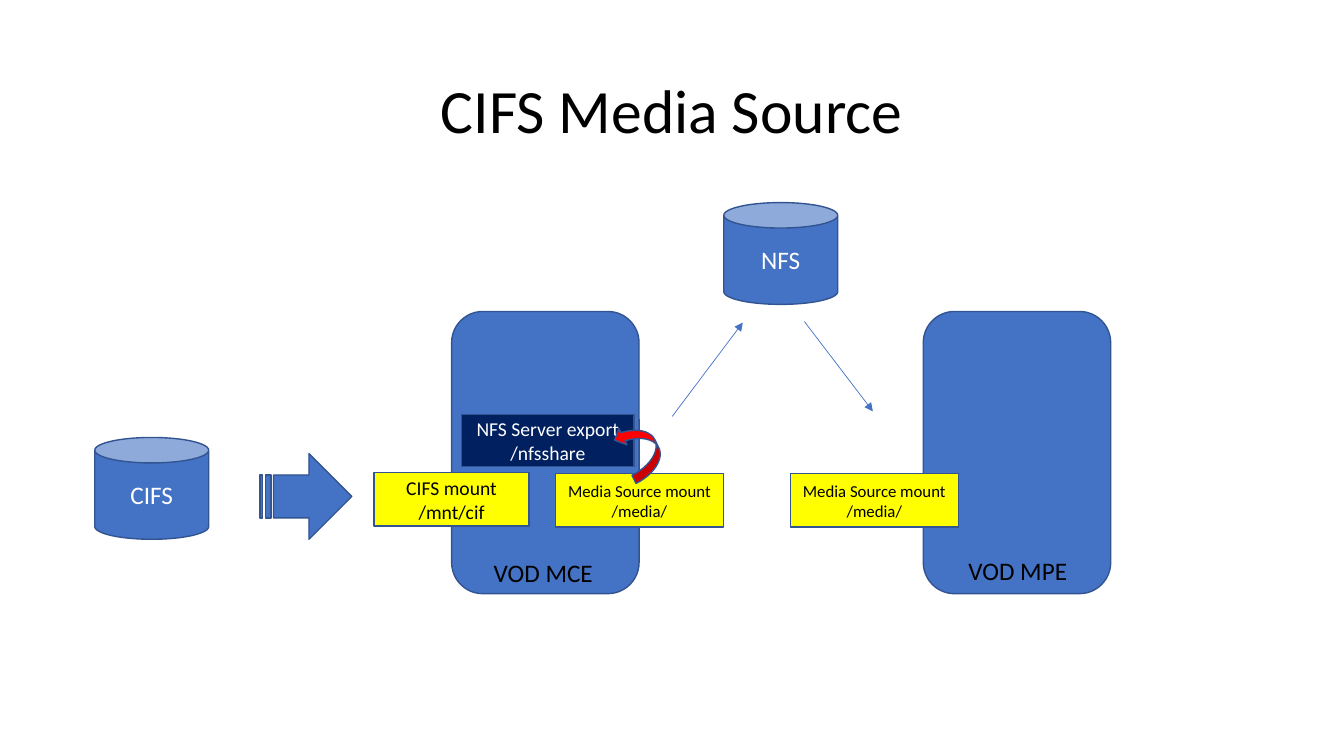
from pptx import Presentation
from pptx.dml.color import RGBColor
from pptx.enum.shapes import MSO_CONNECTOR as Link, MSO_SHAPE as Kind
from pptx.enum.text import MSO_ANCHOR as Anchor, PP_ALIGN as Align
from pptx.oxml.ns import qn
from pptx.util import Pt
from lxml.etree import SubElement

BLUE, EDGE, NAVY = "4472C4", "325491", "002060"
YELLOW, RED, BLACK, WHITE = "FFFF00", "FF0000", "000000", "FFFFFF"
MEDIA = "Media Source mount\n/media/"
SERVER = (133.9, 201.6)
DISK = (81.4, 72.7)


def paint(part, color):
    """Set a fill, line or font colour from a hex string."""
    part.rgb = RGBColor.from_string(color)


def write(shape, text, size, color, align=Align.CENTER, anchor=Anchor.MIDDLE):
    """Fill a shape with one paragraph for each line of text."""
    frame = shape.text_frame
    frame.text = text
    frame.word_wrap = True
    frame.vertical_anchor = anchor
    for par in frame.paragraphs:
        par.alignment = align
        par.font.name = "Calibri"
        par.font.size = Pt(size)
        paint(par.font.color, color)


def block(slide, kind, box, fill=BLUE, text="", size=18, color=WHITE):
    """Add an outlined preset shape, with text if given."""
    shape = slide.shapes.add_shape(kind, *map(Pt, box))
    shape.shadow.inherit = False
    shape.fill.solid()
    paint(shape.fill.fore_color, fill)
    shape.line.width = Pt(1)
    paint(shape.line.color, EDGE)
    if text:
        write(shape, text, size, color)
    return shape


def label(slide, box, text):
    """Add a plain server name."""
    area = slide.shapes.add_textbox(*map(Pt, box))
    write(area, text, 18, BLACK, Align.LEFT, Anchor.TOP)


def arrow(slide, *ends):
    """Add a thin line with a triangle at its end."""
    line = slide.shapes.add_connector(Link.STRAIGHT, *map(Pt, ends))
    line.line.width = Pt(0.5)
    paint(line.line.color, BLUE)
    SubElement(line.line._get_or_add_ln(), qn("a:tailEnd"), type="triangle")
    SubElement(line._element.spPr, qn("a:effectLst"))


def title(slide, box):
    """Add the slide heading."""
    area = slide.shapes.add_textbox(*map(Pt, box))
    write(area, "CIFS Media Source", 44, BLACK)
    area.text_frame.paragraphs[0].line_spacing = 0.9


def mce(slide, x, y):
    """Draw the server that mounts CIFS and exports it over NFS."""
    block(slide, Kind.ROUNDED_RECTANGLE, (x, y, *SERVER))
    block(slide, Kind.RECTANGLE, (x - 55.5, y + 115.2, 110.9, 38.2),
          YELLOW, "CIFS mount /mnt/cif", 14, BLACK)
    block(slide, Kind.RECTANGLE, (x + 7.2, y + 73.4, 123.1, 37.4),
          NAVY, "NFS Server export\n/nfsshare", 14)
    block(slide, Kind.RECTANGLE, (x + 74.1, y + 115.9, 120.2, 38.2),
          YELLOW, MEDIA, 12, BLACK)
    curve = block(slide, Kind.CURVED_UP_ARROW,
                  (x + 113.7, y + 85.7, 41, 25.9), RED)
    curve.rotation = 243.6
    label(slide, (x + 23, y + 172.1, 105.1, 28.8), "VOD MCE")


def mpe(slide, x, y):
    """Draw the server that mounts the media source."""
    block(slide, Kind.ROUNDED_RECTANGLE, (x, y, *SERVER))
    block(slide, Kind.RECTANGLE, (x - 95, y + 115.9, 120.2, 38.2),
          YELLOW, MEDIA, 12, BLACK)
    label(slide, (x + 25.2, y + 170.6, 105.1, 28.8), "VOD MPE")


def nfs(slide, x, y):
    """Draw the NFS store and the arrows to and from it."""
    block(slide, Kind.CAN, (x, y, *DISK), text="NFS")
    arrow(slide, x - 36.8, y + 152.7, x + 13.6, y + 85.7)
    arrow(slide, x + 57.6, y + 85, x + 106.5, y + 149.1)


def cifs(slide, x, y):
    """Draw the CIFS store and the broad arrow leaving it."""
    block(slide, Kind.CAN, (x, y, *DISK), text="CIFS")
    block(slide, Kind.STRIPED_RIGHT_ARROW, (x + 118.1, y + 11.5, 65.5, 61.2))


def main():
    """Build and save the slide."""
    deck = Presentation()
    deck.slide_width, deck.slide_height = Pt(960), Pt(540)
    slide = deck.slides.add_slide(deck.slide_layouts[6])
    title(slide, (66, 28.8, 828, 104.4))
    mce(slide, 322.6, 222.5)
    mpe(slide, 659.5, 222.5)
    nfs(slide, 517, 144.7)
    cifs(slide, 67.7, 312.5)
    deck.save("out.pptx")


main()
